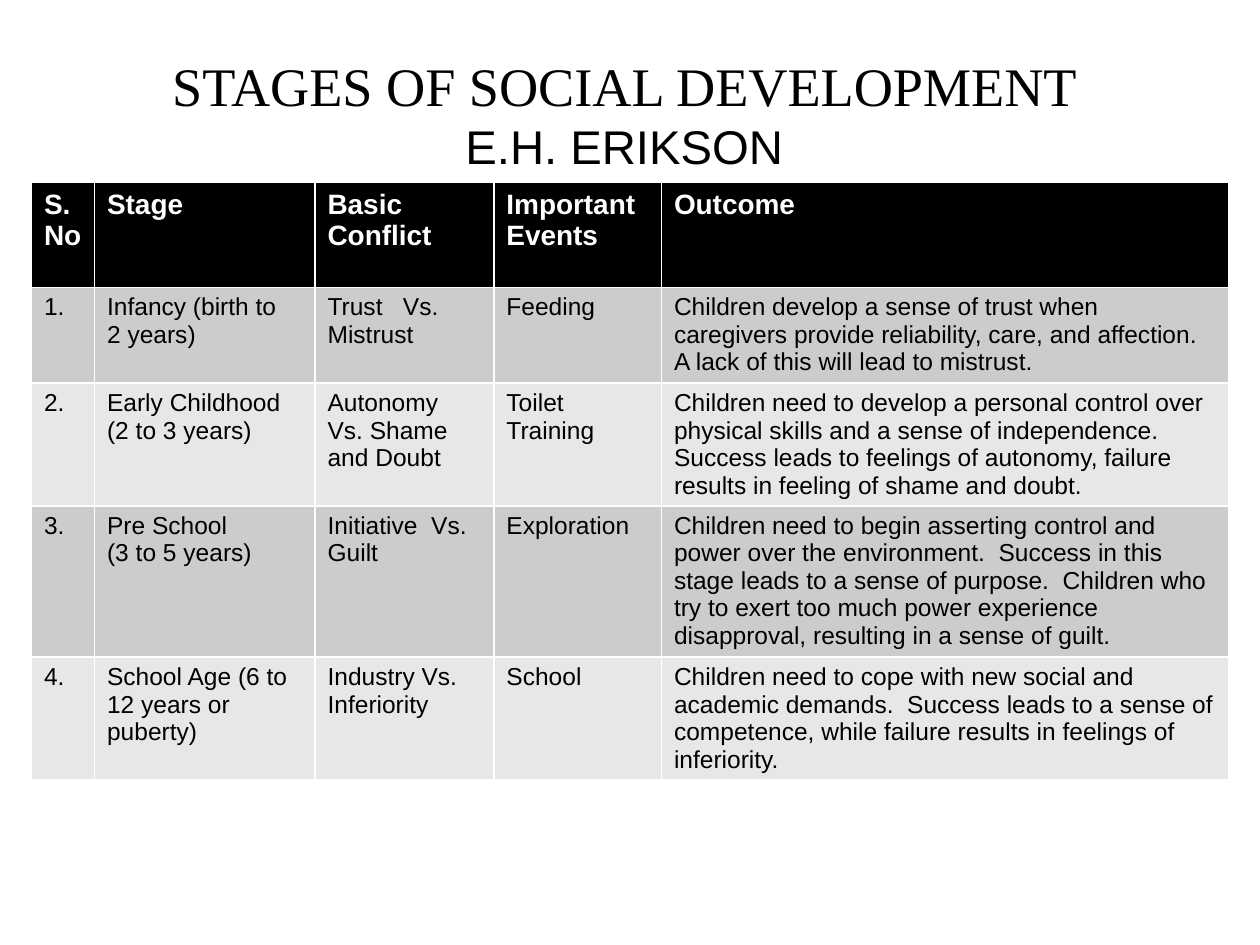
from pptx import Presentation
from pptx.dml.color import RGBColor
from pptx.enum.text import MSO_ANCHOR, MSO_AUTO_SIZE, PP_ALIGN
from pptx.util import Inches, Pt

COLORS = {
    "text": "000000",
    "header": "000000",
    "header_text": "FFFFFF",
    "odd_row": "CCCCCC",
    "even_row": "E7E7E7",
}
COLUMN_WIDTHS = [0.5, 1.75, 1.42, 1.33, 4.5]
ROW_HEIGHTS = [0.83, 0.76, 0.97, 1.2, 0.97]
TITLE_LINES = [
    ("STAGES OF SOCIAL DEVELOPMENT", "Times New Roman", 31),
    ("E.H. ERIKSON", "Arial", 27),
]
STAGES = [
    ["S.No", "Stage", "Basic Conflict", "Important Events", "Outcome"],
    ["1.", "Infancy (birth to\n2 years)", "Trust   Vs. Mistrust", "Feeding",
     "Children develop a sense of trust when caregivers provide reliability, "
     "care, and affection.  A lack of this will lead to mistrust."],
    ["2.", "Early Childhood (2 to 3 years)", "Autonomy   Vs. Shame and Doubt",
     "Toilet Training",
     "Children need to develop a personal control over physical skills and a "
     "sense of independence.  Success leads to feelings of autonomy, failure "
     "results in feeling of shame and doubt."],
    ["3.", "Pre School\n(3 to 5 years)", "Initiative  Vs.\nGuilt", "Exploration",
     "Children need to begin asserting control and power over the environment.  "
     "Success in this stage leads to a sense of purpose.  Children who try to "
     "exert too much power experience disapproval, resulting in a sense of guilt."],
    ["4.", "School Age (6 to 12 years or puberty)", "Industry Vs.\nInferiority",
     "School",
     "Children need to cope with new social and academic demands.  Success leads "
     "to a sense of competence, while failure results in feelings of inferiority."],
]


def color(name):
    return RGBColor.from_string(COLORS[name])


def set_font(paragraph, name, size, color_name, bold=False):
    font = paragraph.font
    font.name = name
    font.size = Pt(size)
    font.bold = bold
    font.color.rgb = color(color_name)


def place_title(slide, left, top, width, height):
    title = slide.shapes.title
    title.left, title.top = Inches(left), Inches(top)
    title.width, title.height = Inches(width), Inches(height)
    frame = title.text_frame
    frame.word_wrap = True
    frame.auto_size = MSO_AUTO_SIZE.NONE
    frame.vertical_anchor = MSO_ANCHOR.MIDDLE
    frame.margin_top = Inches(0.17)
    frame.text = "\n".join(text for text, _, _ in TITLE_LINES)
    for paragraph, (_, name, size) in zip(frame.paragraphs, TITLE_LINES):
        paragraph.alignment = PP_ALIGN.CENTER
        set_font(paragraph, name, size, "text")
    heading = frame.paragraphs[0]
    heading._p.get_or_add_pPr().set("marR", str(Inches(0.25)))


def fill_cell(cell, text, row_index):
    is_header = row_index == 0
    band = "odd_row" if row_index % 2 else "even_row"
    cell.fill.solid()
    cell.fill.fore_color.rgb = color("header" if is_header else band)
    cell.text = text
    for paragraph in cell.text_frame.paragraphs:
        if is_header:
            set_font(paragraph, "Arial", 16, "header_text", bold=True)
        else:
            set_font(paragraph, "Arial", 14, "text")


def place_stages_table(slide, left, top):
    table = slide.shapes.add_table(
        len(STAGES), len(COLUMN_WIDTHS), Inches(left), Inches(top),
        Inches(sum(COLUMN_WIDTHS)), Inches(sum(ROW_HEIGHTS)),
    ).table
    for column, width in zip(table.columns, COLUMN_WIDTHS):
        column.width = Inches(width)
    for row_index, (row, height) in enumerate(zip(table.rows, ROW_HEIGHTS)):
        row.height = Inches(height)
        for cell, text in zip(row.cells, STAGES[row_index]):
            fill_cell(cell, text, row_index)


def main():
    presentation = Presentation()
    presentation.slide_width = Inches(10)
    presentation.slide_height = Inches(7.5)
    slide = presentation.slides.add_slide(presentation.slide_layouts[5])
    place_title(slide, 0.33, 0.25, 9.5, 1.17)
    place_stages_table(slide, 0.25, 1.45)
    presentation.save("out.pptx")


if __name__ == "__main__":
    main()
